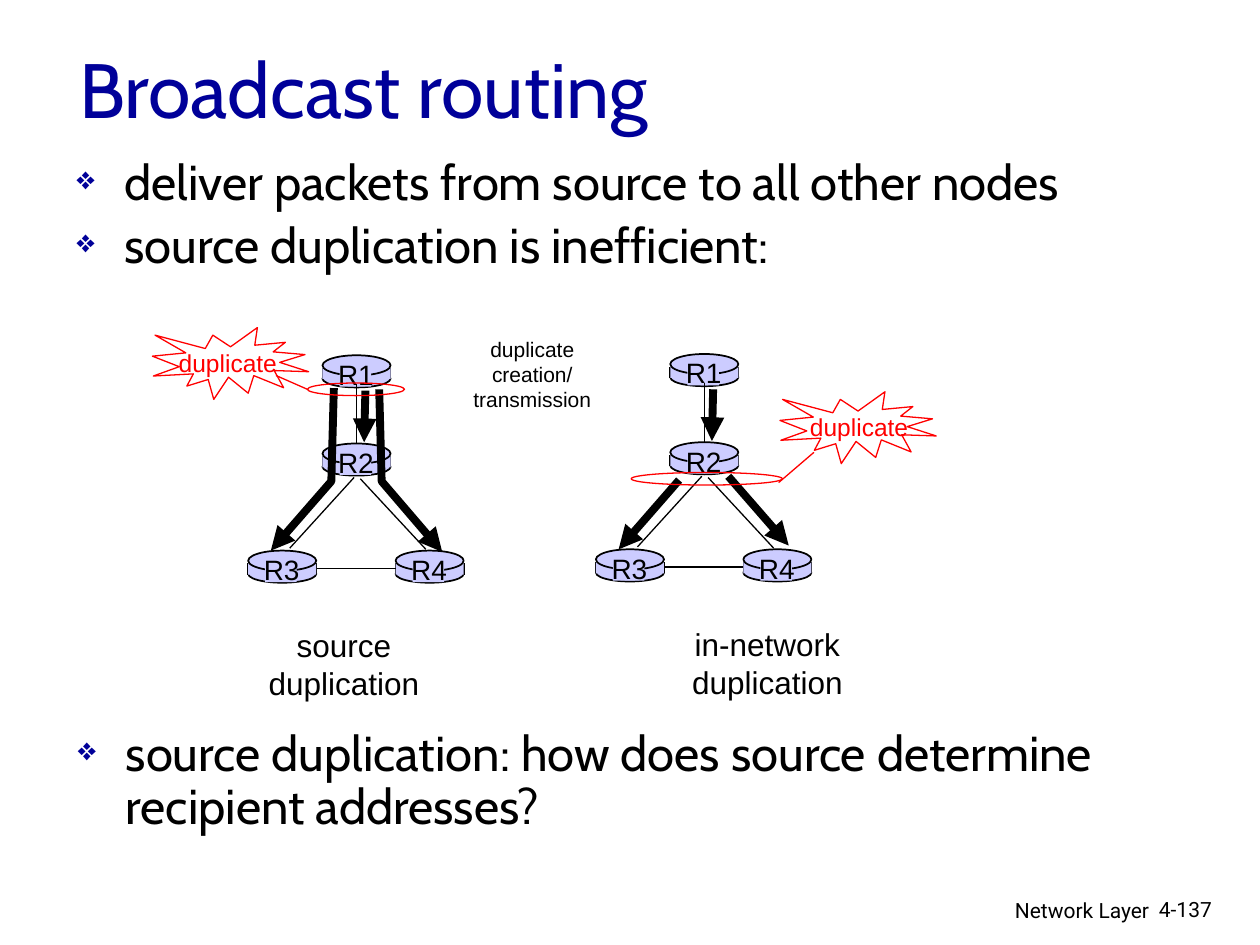
"""Build the broadcast routing slide, with two router networks side by side."""
from dataclasses import dataclass

from lxml import etree
from pptx import Presentation, util as u
from pptx.dml.color import RGBColor
from pptx.enum import shapes, text
from pptx.oxml.ns import qn


@dataclass(frozen=True)
class Theme:
    ink: str = "000000"
    accent: str = "000099"
    alert: str = "FF0000"
    router: str = "CCCCFF"
    heading_font: str = "Cabin"
    diagram_font: str = "Arial"
    footer_font: str = "Roboto"
    title: int = 44
    body: int = 28
    caption: int = 18
    router_label: int = 16
    callout: int = 14
    note: int = 12
    hairline: float = 0.75
    outline: float = 1
    arrow: float = 4.5


THEME = Theme()
COLUMNS, ROWS = 100, 75
WIDTH, HEIGHT = u.Inches(10), u.Inches(7.5)

TITLE = ("Broadcast routing", (5.3, 1.9, 85, 10.1))
BULLETS = [
    ("deliver packets from source to all other nodes\n"
     "source duplication is inefficient:", (5.1, 12.1, 93.8, 10.6)),
    ("source duplication: how does source determine recipient addresses?",
     (5.2, 57.4, 88.8, 10.6)),
]
FOOTERS = [
    ("Network Layer", (60.5, 70.7, 31.7, 3.1), "RIGHT"),
    ("4-137", (91, 70.7, 7.4, 3), "LEFT"),
]
NOTE = ("duplicate\ncreation/\vtransmission", (33.4, 26.2, 17.7, 5))

ROUTERS = {"R1": (5.9, 0), "R2": (5.9, 7), "R3": (0, 15.5), "R4": (11.7, 15.5)}
LINKS = [
    [(8.6, 2.3), (8.6, 7)],
    [(8.4, 9.7), (3.3, 15.3)],
    [(8.9, 9.8), (14.1, 15.4)],
    [(5.5, 16.9), (11.7, 16.9)],
]
FIRST_HOP = [(9.3, 2.8), (9.2, 6.9)]
NETWORKS = [
    dict(origin=(19.7, 28.2), caption="source\vduplication", caption_at=(0.6, 21),
         flows=[[(10.4, 2.7), (10.6, 10), (15.4, 15.6)],
                [(6.8, 2.6), (6.6, 10), (1.8, 15.5)]],
         burst=(-7.6, -2.2), burst_indent=1.1, ring=(4.7, 2.2, 7.7, 1),
         pointer=[(4.7, 2.7), (2.2, 1.6)]),
    dict(origin=(47.3, 28.1), caption="in-network\nduplication", caption_at=(6.6, 21),
         flows=[[(10.5, 9.7), (15.3, 15.2)],
                [(6.6, 10), (1.8, 15.5)]],
         burst=(14.6, 3), burst_indent=1.4, ring=(2.8, 9.4, 12, 1),
         pointer=[(17.3, 7.8), (14.5, 10.2)]),
]


def to_slide(lengths):
    steps = (WIDTH / COLUMNS, HEIGHT / ROWS)
    return [round(length * steps[index % 2]) for index, length in enumerate(lengths)]


def shift(origin, box):
    return (origin[0] + box[0], origin[1] + box[1], *box[2:])


def write_text(frame, content, *, size, font, color=THEME.ink, align="LEFT",
               wrap=True, bullet=None):
    frame.word_wrap = wrap
    frame.auto_size = (text.MSO_AUTO_SIZE.NONE if wrap
                       else text.MSO_AUTO_SIZE.SHAPE_TO_FIT_TEXT)
    for index, line in enumerate(content.split("\n")):
        paragraph = frame.add_paragraph() if index else frame.paragraphs[0]
        paragraph.text = line
        paragraph.alignment = text.PP_ALIGN[align]
        if bullet:
            add_bullet(paragraph, bullet)
            paragraph.line_spacing = 0.9
            paragraph.space_before = u.Pt(0.2 * size if index else 0)
        for run in paragraph.runs:
            run.font.size = u.Pt(size)
            run.font.name = font
            run.font.color.rgb = RGBColor.from_string(color)


def add_bullet(paragraph, symbol):
    properties = paragraph._p.get_or_add_pPr()
    indent = u.Inches(0.38)
    properties.set("marL", str(indent))
    properties.set("indent", str(-indent))
    color = etree.SubElement(properties, qn("a:buClr"))
    etree.SubElement(color, qn("a:srgbClr"), val=THEME.accent)
    etree.SubElement(properties, qn("a:buSzPct"), val="65000")
    etree.SubElement(properties, qn("a:buChar"), char=symbol)


def add_text(slide, content, box, **style):
    shape = slide.shapes.add_textbox(*to_slide(box))
    write_text(shape.text_frame, content, **style)


def set_line(shape, color, width, arrow=False):
    shape.line.color.rgb = RGBColor.from_string(color)
    shape.line.width = u.Pt(width)
    if arrow:
        line = shape.element.spPr.find(qn("a:ln"))
        etree.SubElement(line, qn("a:tailEnd"), type="triangle")


def add_shape(slide, kind, box, fill=None, line=None, width=THEME.outline):
    shape = slide.shapes.add_shape(shapes.MSO_SHAPE[kind], *to_slide(box))
    shape.shadow.inherit = False
    if fill:
        shape.fill.solid()
        shape.fill.fore_color.rgb = RGBColor.from_string(fill)
    else:
        shape.fill.background()
    if line:
        set_line(shape, line, width)
    else:
        shape.line.fill.background()


def add_route(slide, origin, points, color=THEME.ink, width=THEME.hairline, arrow=False):
    start, *others = [to_slide(shift(origin, point)) for point in points]
    if len(others) == 1:
        shape = slide.shapes.add_connector(
            shapes.MSO_CONNECTOR.STRAIGHT, *start, *others[0])
        etree.SubElement(shape.element.spPr, qn("a:effectLst"))
        effects = shape.element.spPr.find(qn("a:effectLst"))
        set_line(shape, color, width, arrow)
        shape.element.spPr.append(effects)
    else:
        builder = slide.shapes.build_freeform(*start)
        builder.add_line_segments(others, close=False)
        shape = builder.convert_to_shape()
        shape.shadow.inherit = False
        shape.fill.background()
        set_line(shape, color, width, arrow)


def add_router(slide, name, origin):
    fill, ink, width = THEME.router, THEME.ink, 5.4
    add_shape(slide, "OVAL", shift(origin, (0, 1.15, width, 1.4)), fill, ink)
    for side in (0, width):
        add_route(slide, origin, [(side, 1), (side, 1.9)], width=THEME.outline)
    add_shape(slide, "RECTANGLE", shift(origin, (0, 1, width, 0.9)), fill)
    add_shape(slide, "OVAL", shift(origin, (0, 0, width, 1.6)), fill, ink)
    add_shape(slide, "RECTANGLE", shift(origin, (1.35, 0.2, 2.5, 2.3)), fill)
    add_text(slide, name, shift(origin, (0.25, -0.35, 4.8, 3.7)), align="CENTER",
             size=THEME.router_label, font=THEME.diagram_font, wrap=False)


def add_network(slide, network):
    origin = network["origin"]
    for name, place in ROUTERS.items():
        add_router(slide, name, shift(origin, place))
    for link in LINKS:
        add_route(slide, origin, link)
    add_text(slide, network["caption"], shift(origin, (*network["caption_at"], 14, 7)),
             size=THEME.caption, font=THEME.diagram_font, align="CENTER", wrap=False)
    for flow in [FIRST_HOP, *network["flows"]]:
        add_route(slide, origin, flow, width=THEME.arrow, arrow=True)
    burst = shift(origin, network["burst"])
    red = dict(line=THEME.alert, width=THEME.hairline)
    add_shape(slide, "EXPLOSION1", (*burst, 12.4, 5.7), **red)
    add_text(slide, "duplicate", shift(burst, (network["burst_indent"], 1.1, 9.8, 3.3)),
             size=THEME.callout, font=THEME.diagram_font, color=THEME.alert, wrap=False)
    add_shape(slide, "OVAL", shift(origin, network["ring"]), **red)
    add_route(slide, origin, network["pointer"], color=THEME.alert)


def main():
    presentation = Presentation()
    presentation.slide_width, presentation.slide_height = WIDTH, HEIGHT
    slide = presentation.slides.add_slide(presentation.slide_layouts[5])

    title = slide.shapes.title
    content, box = TITLE
    title.left, title.top, title.width, title.height = to_slide(box)
    title.text_frame.vertical_anchor = text.MSO_ANCHOR.MIDDLE
    write_text(title.text_frame, content, size=THEME.title,
               font=THEME.heading_font, color=THEME.accent)

    for content, box, align in FOOTERS:
        add_text(slide, content, box, size=THEME.note, font=THEME.footer_font, align=align)
    for network in NETWORKS:
        add_network(slide, network)
    content, box = NOTE
    add_text(slide, content, box, size=THEME.note, font=THEME.diagram_font,
             align="CENTER", wrap=False)
    for content, box in BULLETS:
        add_text(slide, content, box, size=THEME.body, font=THEME.heading_font, bullet="❖")
    presentation.save("out.pptx")


if __name__ == "__main__":
    main()
